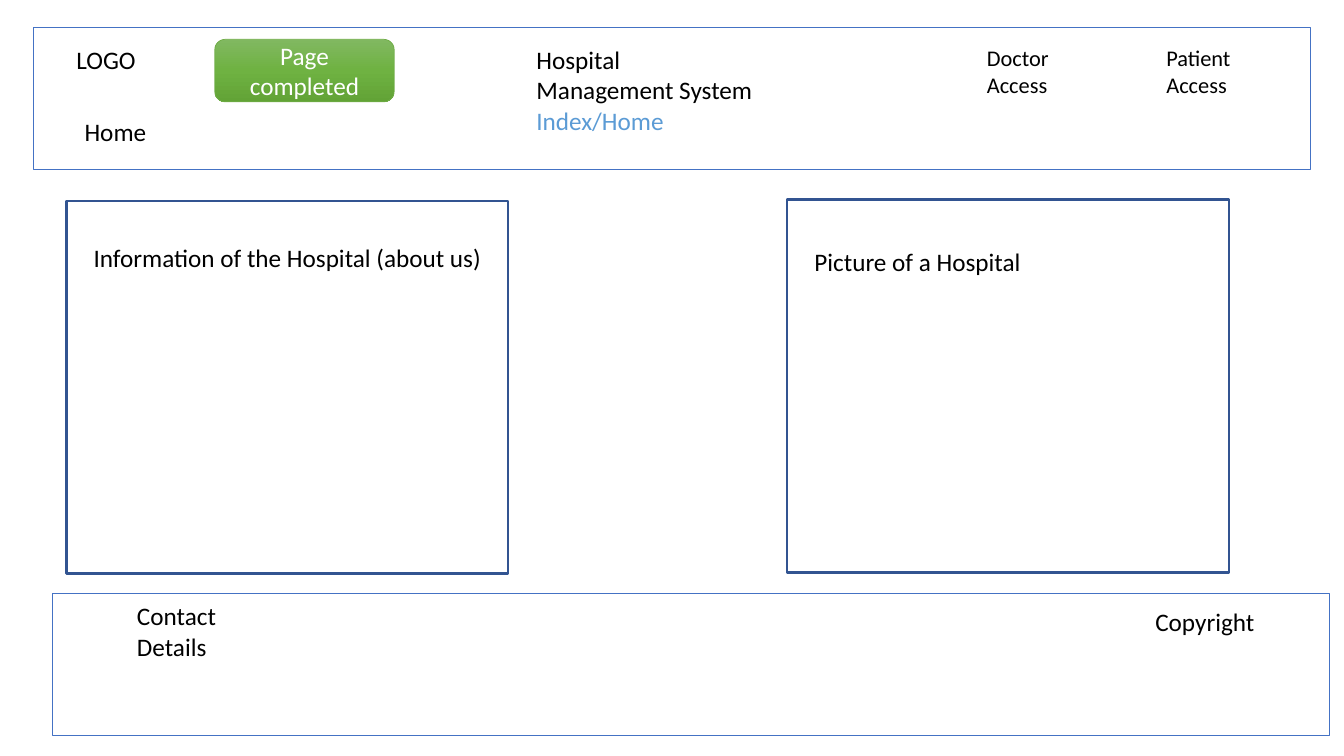
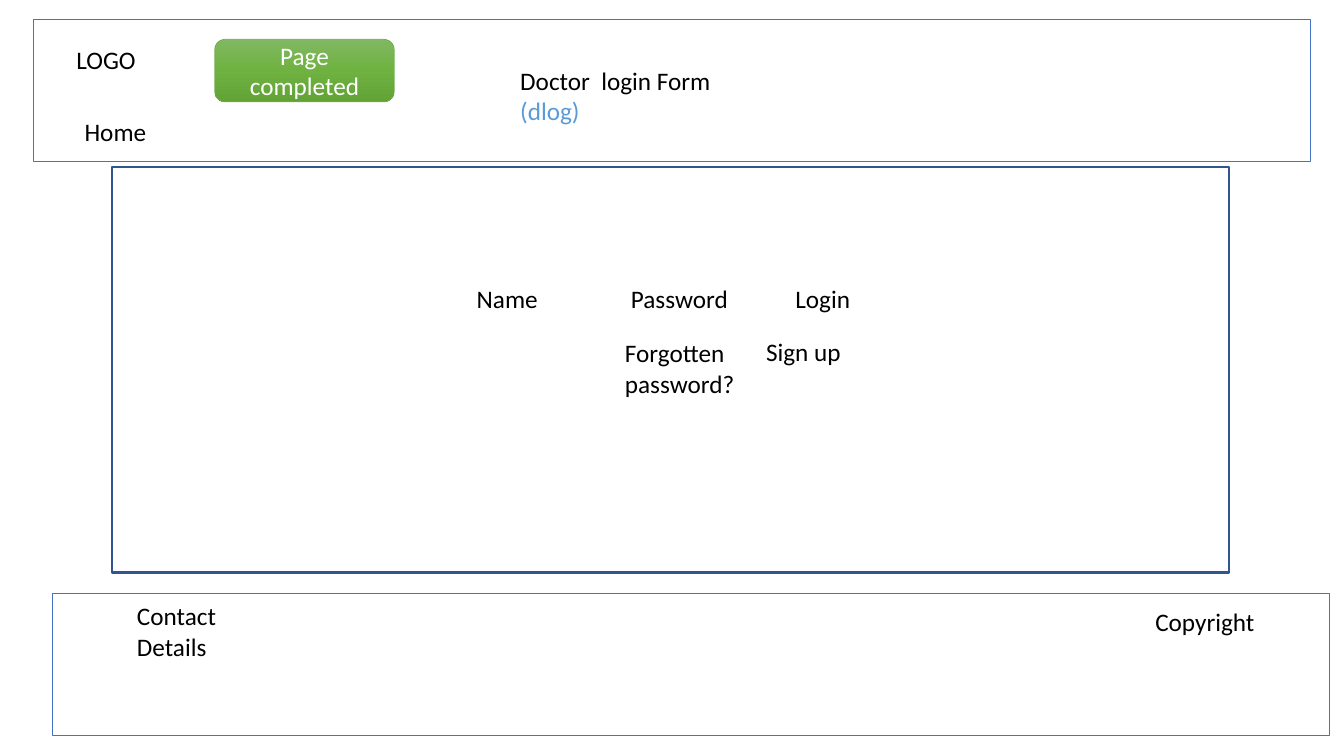
"""Build two wireframe slides of a hospital management site."""
from pptx import Presentation
from pptx.dml.color import RGBColor
from pptx.enum.shapes import MSO_SHAPE
from pptx.enum.text import MSO_ANCHOR, MSO_AUTO_SIZE, PP_ALIGN
from pptx.oxml import parse_xml
from pptx.oxml.ns import nsdecls, qn
from pptx.util import Inches, Pt

RECT, ROUNDED = MSO_SHAPE.RECTANGLE, MSO_SHAPE.ROUNDED_RECTANGLE
TOP, MIDDLE = MSO_ANCHOR.TOP, MSO_ANCHOR.MIDDLE
LEFT, CENTER = PP_ALIGN.LEFT, PP_ALIGN.CENTER
NO_FIT = MSO_AUTO_SIZE.NONE
TITLE_ONLY = 5

FONT = "Calibri"
BLACK, WHITE, ACCENT = "000000", "FFFFFF", "5B9BD5"
BAND_LINE, PANEL_LINE, BADGE_LINE = ("4472C4", 0.75), ("325491", 1.5), ("70AD47", 0.5)
BADGE_STOPS = [(0, "81B861"), (50, "6FB242"), (100, "62A336")]
BAND_WIDTH, BAND_HEIGHT = 12.67, 1.41
HEADER_LEFT = 0.33
FOOTER_BOX = (0.52, 5.89, BAND_WIDTH, BAND_HEIGHT)
BADGE_BOX = (2.13, 0.39, 1.78, 0.62)

SHARED_LABELS = [
    (["LOGO"], (0.66, 0.39, 1.86, 0.4), 18),
    (["Home"], (0.74, 1.1, 1.39, 0.4), 18),
    (["Contact Details"], (1.26, 5.91, 1.39, 0.71), 18),
    (["Copyright"], (11.36, 5.97, 1.39, 0.4), 18),
]

PAGES = [
    {
        "title": ["Hospital Management System", "Index/Home"],
        "title_box": (5.22, 0.39, 2.39, 1.01),
        "header_top": 0.27,
        "panels": [(0.66, 1.99, 4.38, 3.7), (7.81, 1.98, 4.38, 3.7)],
        "labels": [
            (["Doctor Access"], (9.69, 0.39, 0.93, 0.64), 16),
            (["Patient", "Access"], (11.47, 0.39, 0.93, 0.64), 16),
            (["Information of the Hospital (about us)"], (0.83, 2.36, 4.74, 0.4), 18),
            (["Picture of a Hospital"], (7.98, 2.39, 4.04, 0.4), 18),
        ],
    },
    {
        "title": ["Doctor  login Form", "(dlog)"],
        "title_box": (5.06, 0.6, 3.4, 0.71),
        "header_top": 0.19,
        "panels": [(1.11, 1.66, 11.08, 4.02)],
        "labels": [
            (["Name"], (4.63, 2.76, 1.53, 0.4), 18),
            (["Password"], (6.16, 2.76, 1.63, 0.4), 18),
            (["Login"], (7.79, 2.76, 1.53, 0.4), 18),
            (["Forgotten password?"], (6.1, 3.3, 1.53, 0.71), 18),
            (["Sign up"], (7.5, 3.29, 1.53, 0.4), 18),
        ],
    },
]


def rgb(value):
    """Turn a hex string into a colour."""
    return RGBColor.from_string(value)


def inches(box):
    """Turn a box of plain numbers into lengths."""
    return [Inches(length) for length in box]


def write(shape, lines, colors, size=18, align=LEFT, anchor=TOP):
    """Fill a shape with one paragraph per line."""
    frame = shape.text_frame
    frame.text = "\n".join(lines)
    frame_format = {"word_wrap": True, "auto_size": NO_FIT, "vertical_anchor": anchor}
    for name, value in frame_format.items():
        setattr(frame, name, value)
    for paragraph, color in zip(frame.paragraphs, colors):
        paragraph.alignment = align
        paragraph.line_spacing = 1.0
        font = paragraph.runs[0].font
        for name, value in {"name": FONT, "size": Pt(size)}.items():
            setattr(font, name, value)
        font.color.rgb = rgb(color)


def add_outline(slide, box, line, preset=RECT):
    """Add an unfilled outline."""
    shape = slide.shapes.add_shape(preset, *inches(box))
    shape.shadow.inherit = False
    shape.fill.background()
    color, width = line
    shape.line.color.rgb = rgb(color)
    shape.line.width = Pt(width)
    return shape


def add_badge(slide):
    """Add the green status badge with its vertical gradient."""
    badge = add_outline(slide, BADGE_BOX, BADGE_LINE, ROUNDED)
    stops = "".join(
        f'<a:gs pos="{position * 1000}"><a:srgbClr val="{color}"/></a:gs>'
        for position, color in BADGE_STOPS
    )
    gradient = parse_xml(
        f'<a:gradFill {nsdecls("a")} rotWithShape="1"><a:gsLst>{stops}</a:gsLst>'
        '<a:lin ang="5400000" scaled="0"/></a:gradFill>'
    )
    properties = badge.element.spPr
    properties.replace(properties.find(qn("a:noFill")), gradient)
    write(badge, ["Page completed"], [WHITE], align=CENTER, anchor=MIDDLE)


def add_title(slide, lines, box):
    """Place the page title with its file name in the accent colour."""
    title = slide.shapes.title
    for name, value in zip(("left", "top", "width", "height"), inches(box)):
        setattr(title, name, value)
    write(title, lines, [BLACK, ACCENT])


def add_page(deck, page):
    """Build one page with the shared header, footer and badge."""
    slide = deck.slides.add_slide(deck.slide_layouts[TITLE_ONLY])
    header_box = (HEADER_LEFT, page["header_top"], BAND_WIDTH, BAND_HEIGHT)
    for band in (header_box, FOOTER_BOX):
        add_outline(slide, band, BAND_LINE)
    for panel in page["panels"]:
        add_outline(slide, panel, PANEL_LINE)
    add_title(slide, page["title"], page["title_box"])
    for lines, box, size in SHARED_LABELS + page["labels"]:
        label = slide.shapes.add_textbox(*inches(box))
        write(label, lines, [BLACK] * len(lines), size)
    add_badge(slide)


deck = Presentation()
deck.slide_width, deck.slide_height = Inches(13.33), Inches(7.5)
for page in PAGES:
    add_page(deck, page)
deck.save("out.pptx")
